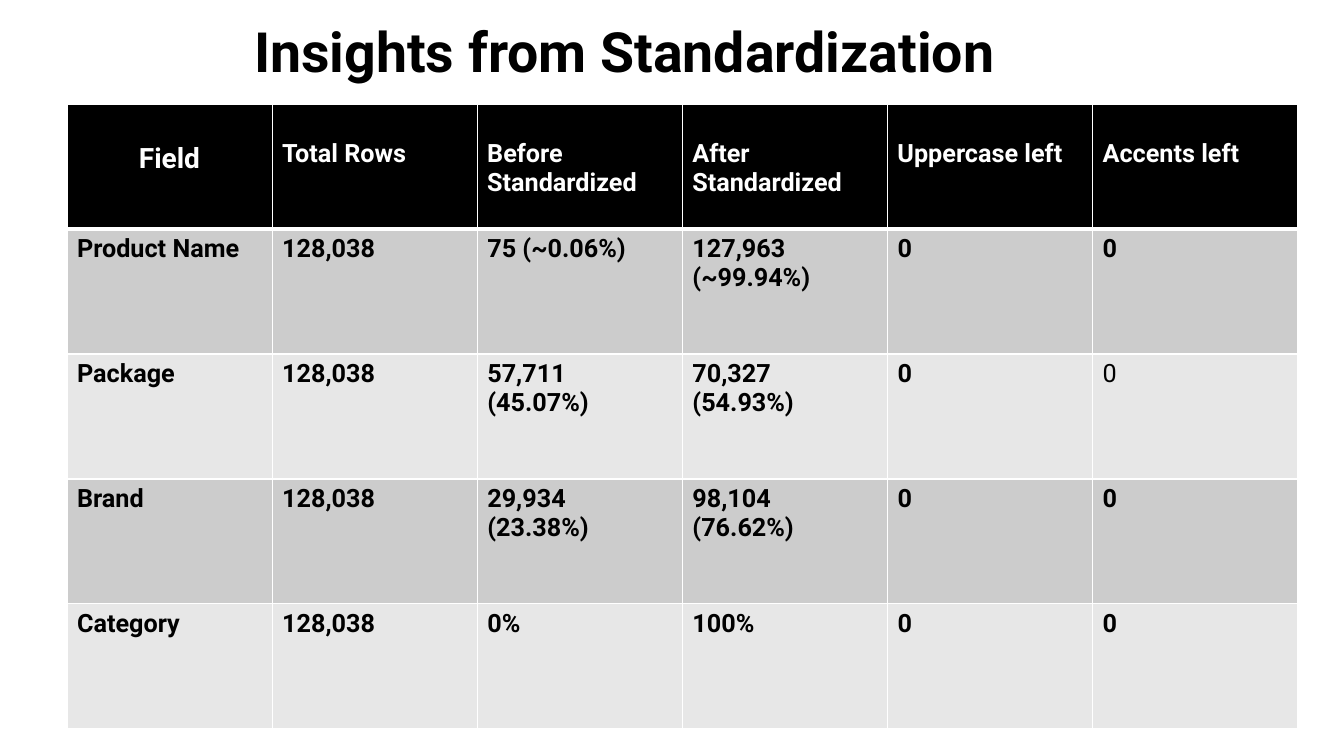
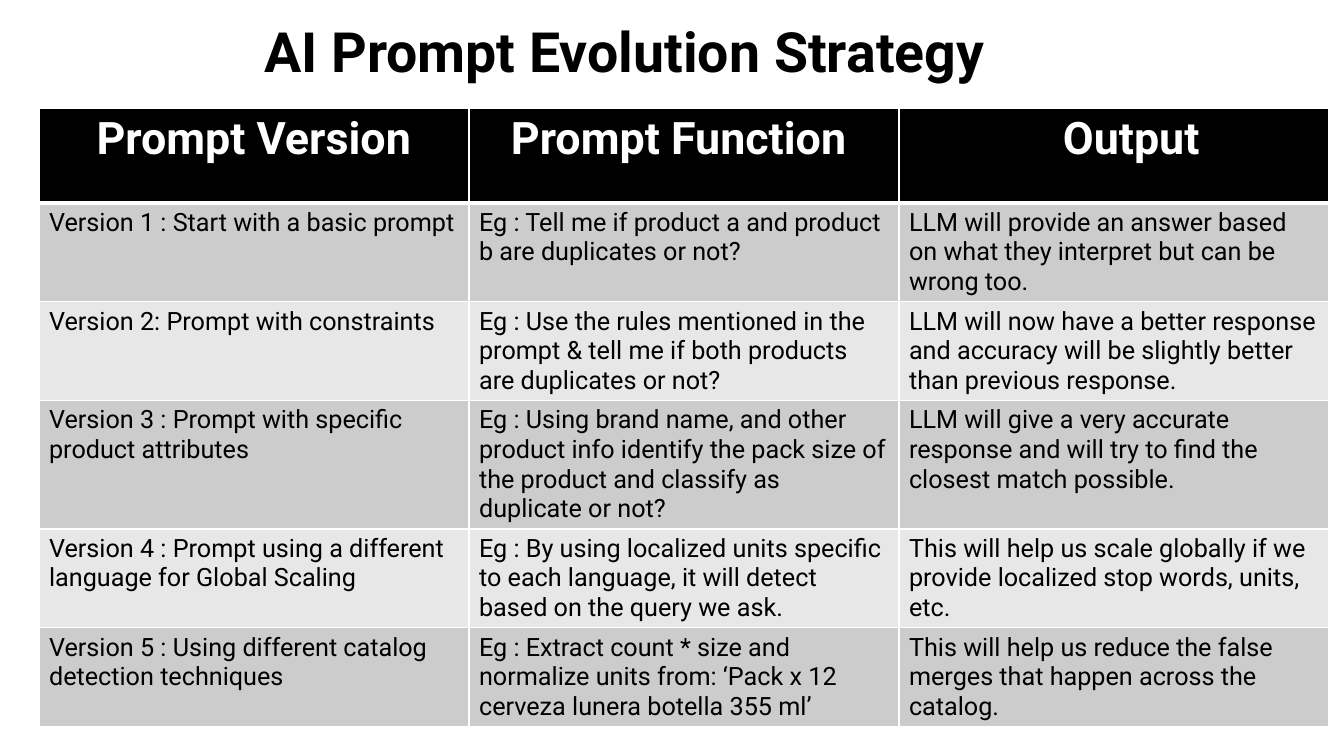
from dataclasses import dataclass

from lxml import etree
from pptx import Presentation
from pptx import util as u
from pptx.dml.color import RGBColor
from pptx.enum import text
from pptx.oxml import ns

PX = 914400 / 100.8  # EMU in one px


def px(n: float) -> u.Emu:
    return u.Emu(round(n * PX))


@dataclass(frozen=True)
class Theme:
    font: str = "Roboto"
    ink: str = "000000"
    paper: str = "FFFFFF"
    bands: tuple[str, str] = ("CCCCCC", "E7E7E7")
    title_size: float = 39.6
    body_size: int = 18
    rule: int = 1
    header_rule: int = 3


THEME = Theme()


@dataclass(frozen=True)
class Heading:
    label: str
    size: int = THEME.body_size
    centred: bool = False
    left: int = 10
    top: int = 5


@dataclass(frozen=True)
class TableSlide:
    title: str
    box: tuple[int, int, int]  # left, top, width in px
    row_height: int
    headings: list[Heading]
    rows: list[tuple[str, ...]]
    bold: bool = False
    exceptions: tuple[tuple[int, int], ...] = ()  # body cells of the other weight


# Content
TOTAL = "128,038"
SLIDES = [
    TableSlide(
        "Insights from Standardization", (67, 104, 1231), 125,
        [Heading("Field", 20, centred=True, top=38)]
        + [Heading(label, top=35) for label in (
            "Total Rows", "Before Standardized", "After Standardized",
            "Uppercase left", "Accents left")],
        [
            ("Product Name", TOTAL, "75 (~0.06%)", "127,963 (~99.94%)", "0", "0"),
            ("Package", TOTAL, "57,711 (45.07%)", "70,327 (54.93%)", "0", "0"),
            ("Brand", TOTAL, "29,934 (23.38%)", "98,104 (76.62%)", "0", "0"),
            ("Category", TOTAL, "0%", "100%", "0", "0"),
        ],
        bold=True, exceptions=((1, 5),),
    ),
    TableSlide(
        "AI Prompt Evolution Strategy", (39, 108, 1290), 95,
        [Heading("Prompt Version", 32, centred=True),
         Heading("Prompt Function", 32, left=42),
         Heading("Output", 32, left=164)],
        [
            ("Version 1 : Start with a basic prompt",
             "Eg : Tell me if product a and product b are duplicates or not?",
             "LLM will provide an answer based on what they interpret but can be wrong too."),
            ("Version 2: Prompt with constraints",
             "Eg : Use the rules mentioned in the prompt & tell me if both products "
             "are duplicates or not?",
             "LLM will now have a better response and accuracy will be slightly better "
             "than previous response."),
            ("Version 3 : Prompt with specific product attributes",
             "Eg : Using brand name, and other product info identify the pack size of "
             "the product and classify as duplicate or not?",
             "LLM will give a very accurate response and will try to find the closest "
             "match possible."),
            ("Version 4 : Prompt using a different language for Global Scaling",
             "Eg : By using localized units specific to each language, it will detect "
             "based on the query we ask.",
             "This will help us scale globally if we provide localized stop words, "
             "units, etc."),
            ("Version 5 : Using different catalog detection techniques",
             "Eg : Extract count * size and normalize units from: ‘Pack x 12 cerveza "
             "lunera botella 355 ml’",
             "This will help us reduce the false merges that happen across the catalog."),
        ],
    ),
]


# Text and cell styling
def style(p, size: float, color: str, bold: bool, centred: bool = False) -> None:
    p.font.name = THEME.font
    p.font.size = u.Pt(size)
    p.font.bold = bold
    p.font.color.rgb = RGBColor.from_string(color)
    p.alignment = text.PP_ALIGN.CENTER if centred else text.PP_ALIGN.LEFT


def add_borders(cell, top: int, bottom: int) -> None:
    tc_pr = cell._tc.get_or_add_tcPr()
    widths = {"lnL": THEME.rule, "lnR": THEME.rule, "lnT": top, "lnB": bottom}
    for side, width in widths.items():
        ln = etree.SubElement(tc_pr, ns.qn(f"a:{side}"), w=str(u.Pt(width)))
        fill = etree.SubElement(ln, ns.qn("a:solidFill"))
        etree.SubElement(fill, ns.qn("a:srgbClr"), val=THEME.paper)


def fill_cell(cell, label: str, fill: str, top: int, bottom: int):
    add_borders(cell, top, bottom)
    cell.fill.solid()
    cell.fill.fore_color.rgb = RGBColor.from_string(fill)
    cell.text = label
    return cell.text_frame.paragraphs[0]


# Slide parts
def add_title(s, title: str) -> None:
    sp = s.shapes.title
    sp.left, sp.top, sp.width, sp.height = map(px, (193, 25, 863, 60))
    tf = sp.text_frame
    tf.text = title
    tf.word_wrap = True
    tf.auto_size = text.MSO_AUTO_SIZE.NONE
    tf.vertical_anchor = text.MSO_ANCHOR.MIDDLE
    p = tf.paragraphs[0]
    p.line_spacing = 0.9
    style(p, THEME.title_size, THEME.ink, bold=True, centred=True)


def add_grid(s, item: TableSlide) -> None:
    left, top, width = item.box
    n_rows, n_cols = len(item.rows) + 1, len(item.headings)
    table = s.shapes.add_table(n_rows, n_cols, px(left), px(top), px(width),
                               px(item.row_height * n_rows)).table
    table.first_row = table.horz_banding = False

    for c, head in enumerate(item.headings):
        cell = table.cell(0, c)
        p = fill_cell(cell, head.label, THEME.ink, THEME.rule, THEME.header_rule)
        cell.margin_left, cell.margin_top = px(head.left), px(head.top)
        style(p, head.size, THEME.paper, True, head.centred)

    for r, row in enumerate(item.rows):
        rule = THEME.rule if r else THEME.header_rule
        for c, label in enumerate(row):
            p = fill_cell(table.cell(r + 1, c), label, THEME.bands[r % 2], rule, THEME.rule)
            style(p, THEME.body_size, THEME.ink, item.bold != ((r, c) in item.exceptions))


def main() -> None:
    prs = Presentation()
    prs.slide_width, prs.slide_height = px(1344), px(756)
    title_only = prs.slide_layouts[5]
    for item in SLIDES:
        s = prs.slides.add_slide(title_only)
        add_title(s, item.title)
        add_grid(s, item)
    prs.save("out.pptx")


if __name__ == "__main__":
    main()
